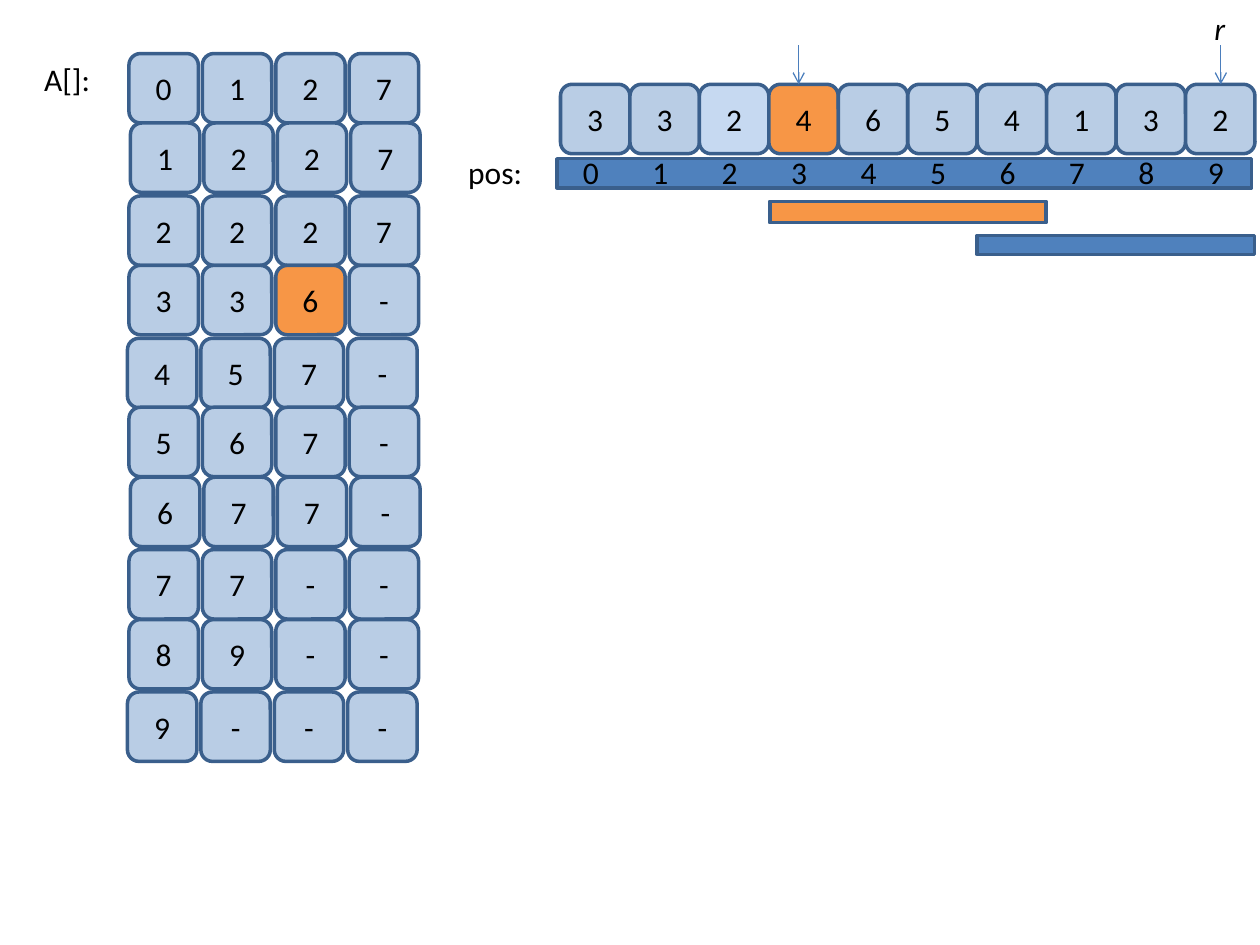
from dataclasses import dataclass

from lxml import etree
from pptx import Presentation
from pptx.dml.color import RGBColor
from pptx.enum.shapes import MSO_CONNECTOR, MSO_SHAPE
from pptx.enum.text import MSO_ANCHOR, MSO_AUTO_SIZE, PP_ALIGN
from pptx.oxml.ns import qn
from pptx.util import Cm, Pt

CELL = 1.4
CELL_FILL, PALE, ORANGE, BLUE = "B9CDE5", "C6D9F1", "F79646", "4F81BD"
OUTLINE, ARROW, BLACK = "3A5F8C", "4B7EBC", "000000"


@dataclass
class Row:
    left: float
    top: float
    values: str
    pitch: float = 1.48


@dataclass
class Bar:
    left: float
    top: float
    width: float
    height: float
    fill: str


@dataclass
class Label:
    text: str
    left: float
    top: float
    width: float
    italic: bool = False


QUEUE = Row(11.3, 1.7, "3324654132", CELL)
QUEUE_FILLS = {2: PALE, 3: ORANGE}
TABLE = [
    Row(2.6, 1.08, "0127"),
    Row(2.63, 2.48, "1227"),
    Row(2.6, 3.95, "2227"),
    Row(2.6, 5.35, "336-"),
    Row(2.57, 6.82, "457-"),
    Row(2.6, 8.21, "567-"),
    Row(2.63, 9.62, "677-"),
    Row(2.6, 11.08, "77--"),
    Row(2.6, 12.49, "89--"),
    Row(2.57, 13.95, "9---"),
]
TABLE_FILLS = {(3, 2): ORANGE}
BARS = [
    Bar(11.23, 3.2, 14, 0.59, BLUE),
    Bar(15.52, 4.06, 5.57, 0.43, ORANGE),
    Bar(19.7, 4.75, 5.59, 0.38, BLUE),
]
ARROW_XS = [16.1, 24.61]
LABELS = [
    Label("r", 24.23, 0.05, 0.74, True),
    Label("pos:", 9.19, 2.97, 1.6),
    Label("A[]:", 0.64, 1.09, 1.45),
] + [Label(str(i), 11.5 + i * CELL, 2.97, 0.84) for i in range(10)]


def rgb(color: str) -> RGBColor:
    return RGBColor.from_string(color)


def set_font(p, italic: bool = False) -> None:
    p.font.name = "Calibri"
    p.font.size = Pt(18)
    p.font.italic = italic
    p.font.color.rgb = rgb(BLACK)


def add_box(s, kind, bar: Bar):
    sp = s.shapes.add_shape(
        kind, Cm(bar.left), Cm(bar.top), Cm(bar.width), Cm(bar.height)
    )
    sp.shadow.inherit = False
    sp.fill.solid()
    sp.fill.fore_color.rgb = rgb(bar.fill)
    sp.line.color.rgb = rgb(OUTLINE)
    sp.line.width = Pt(2)
    return sp


def add_row(s, row: Row, fills: dict[int, str]) -> None:
    for col, value in enumerate(row.values):
        fill = fills.get(col, CELL_FILL)
        bar = Bar(row.left + col * row.pitch, row.top, CELL, CELL, fill)
        tf = add_box(s, MSO_SHAPE.ROUNDED_RECTANGLE, bar).text_frame
        tf.vertical_anchor = MSO_ANCHOR.MIDDLE
        p = tf.paragraphs[0]
        p.text = value
        p.alignment = PP_ALIGN.CENTER
        set_font(p)


def add_arrow(s, x: float) -> None:
    cn = s.shapes.add_connector(
        MSO_CONNECTOR.STRAIGHT, Cm(x), Cm(0.91), Cm(x), Cm(QUEUE.top)
    )
    cn.line.color.rgb = rgb(ARROW)
    cn.line.width = Pt(0.75)
    sp_pr = cn.line._get_or_add_ln().getparent()
    etree.SubElement(cn.line._get_or_add_ln(), qn("a:tailEnd"), type="arrow")
    etree.SubElement(sp_pr, qn("a:effectLst"))


def add_label(s, label: Label) -> None:
    tb = s.shapes.add_textbox(
        Cm(label.left), Cm(label.top), Cm(label.width), Cm(1.02)
    )
    tf = tb.text_frame
    tf.word_wrap = False
    tf.auto_size = MSO_AUTO_SIZE.SHAPE_TO_FIT_TEXT
    p = tf.paragraphs[0]
    p.text = label.text
    set_font(p, label.italic)


prs = Presentation()
prs.slide_width, prs.slide_height = Cm(25.4), Cm(19.05)
s = prs.slides.add_slide(prs.slide_layouts[6])

add_row(s, QUEUE, QUEUE_FILLS)
for x in ARROW_XS:
    add_arrow(s, x)
for bar in BARS:
    add_box(s, MSO_SHAPE.RECTANGLE, bar)
for i, row in enumerate(TABLE):
    add_row(s, row, {c: fill for (r, c), fill in TABLE_FILLS.items() if r == i})
for label in LABELS:
    add_label(s, label)

prs.save("out.pptx")
